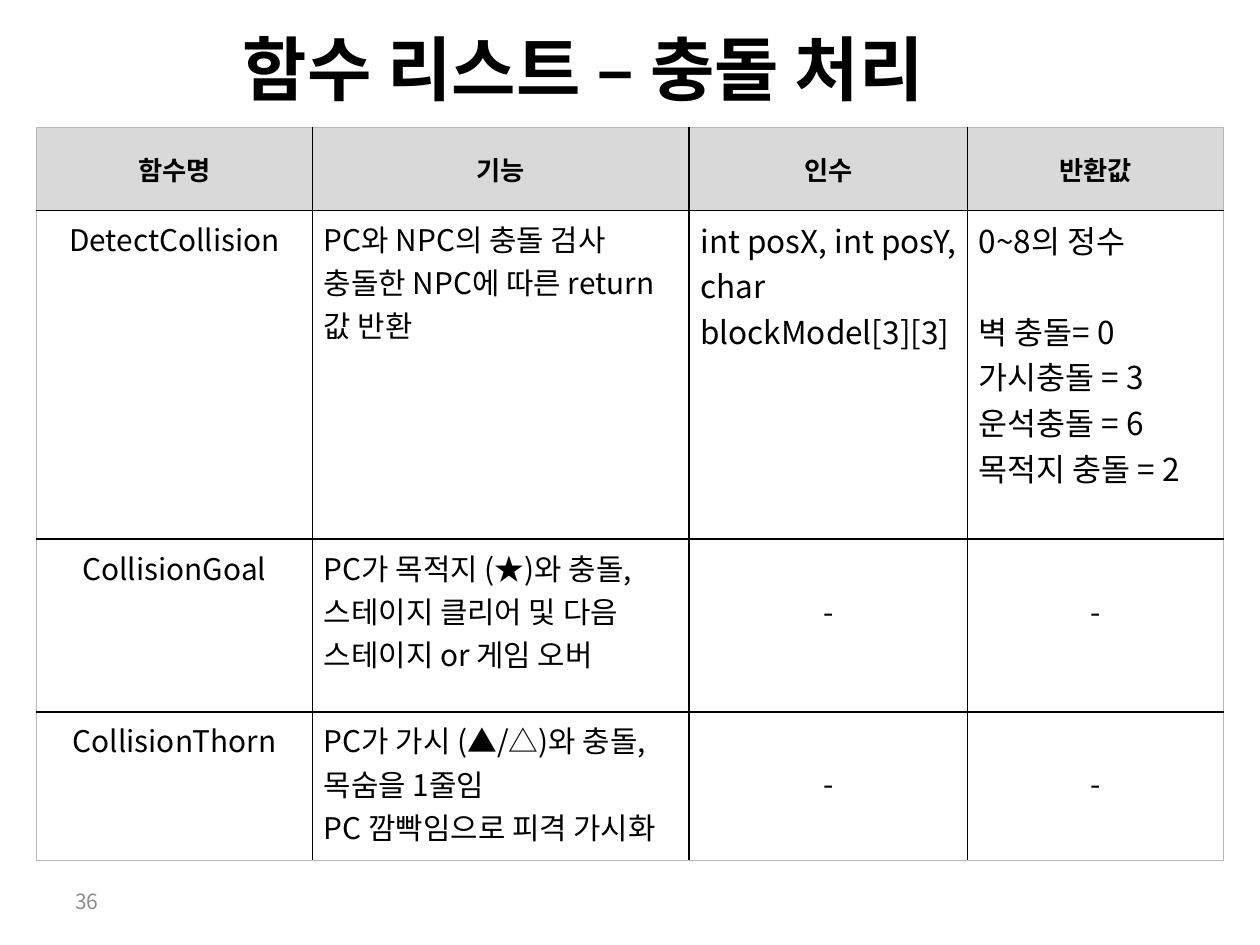
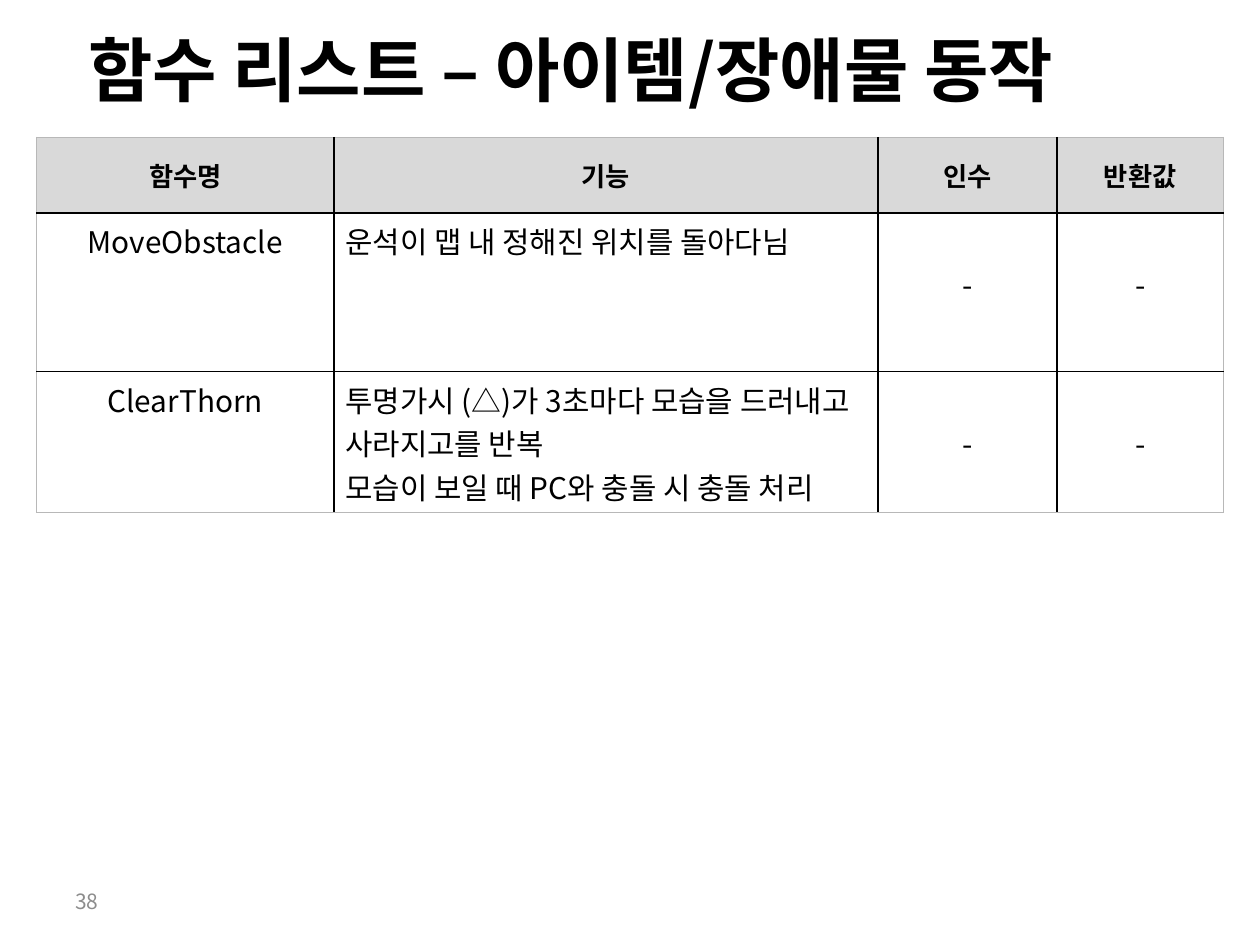
from lxml import etree
from pptx import Presentation
from pptx.dml.color import RGBColor
from pptx.enum.text import MSO_ANCHOR as Anchor, PP_ALIGN as Align
from pptx.oxml.ns import qn
from pptx.util import Inches, Pt

BLACK = RGBColor(0x00, 0x00, 0x00)
HEADER_GRAY = RGBColor(0xD9, 0xD9, 0xD9)
EDGE_GRAY = RGBColor(0xB8, 0xB8, 0xB8)
NUMBER_GRAY = RGBColor(0x8C, 0x8C, 0x8C)

FONT = "Noto Sans CJK KR"
GRID_COLUMNS, GRID_ROWS = 100, 75
TABLE_LEFT = 2.9
SIDE_INSET, LINE_INSET = 0.9, 0.5
DASH_DROP = 3.4
HEADINGS = ["함수명", "기능", "인수", "반환값"]
NONE = "-"

COLLISION_FUNCTIONS = [
    ["DetectCollision",
     "PC와 NPC의 충돌 검사\n충돌한 NPC에 따른 return값 반환",
     "int posX, int posY, char blockModel[3][3]",
     "0~8의 정수\n벽 충돌= 0\n가시충돌 = 3\n운석충돌 = 6\n목적지 충돌 = 2"],
    ["CollisionGoal",
     "PC가 목적지 (★)와 충돌,\n스테이지 클리어 및 다음 스테이지 or 게임 오버",
     NONE, NONE],
    ["CollisionThorn",
     "PC가 가시 (▲/△)와 충돌,\n목숨을 1줄임\nPC 깜빡임으로 피격 가시화",
     NONE, NONE],
]
MOTION_FUNCTIONS = [
    ["MoveObstacle", "운석이 맵 내 정해진 위치를 돌아다님", NONE, NONE],
    ["ClearThorn",
     "투명가시 (△)가 3초마다 모습을 드러내고 사라지고를 반복\n"
     "모습이 보일 때 PC와 충돌 시 충돌 처리",
     NONE, NONE],
]


class FunctionDeck:
    def __init__(self):
        self.deck = Presentation()
        self.deck.slide_width, self.deck.slide_height = Inches(10), Inches(7.5)
        self.slide = None

    def across(self, columns):
        return round(self.deck.slide_width * columns / GRID_COLUMNS)

    def down(self, rows):
        return round(self.deck.slide_height * rows / GRID_ROWS)

    def new_slide(self):
        self.slide = self.deck.slides.add_slide(self.deck.slide_layouts[6])

    def style(self, frame, size, color=BLACK, bold=False, align=Align.LEFT):
        for paragraph in frame.paragraphs:
            paragraph.alignment = align
            for run in paragraph.runs:
                font = run.font
                font.size, font.bold, font.name = Pt(size), bold, FONT
                font.color.rgb = color
                east_asian = etree.SubElement(font._element, qn("a:ea"))
                east_asian.set("typeface", FONT)

    def text(self, words, left, top, width, height, size, **look):
        frame = self.slide.shapes.add_textbox(
            self.across(left), self.down(top),
            self.across(width), self.down(height)).text_frame
        frame.word_wrap = True
        frame.text = words
        self.style(frame, size, **look)
        return frame

    def title(self, words, left, top, width):
        self.text(words, left, top, width, 7.7, 40, bold=True)

    def page_number(self, number):
        frame = self.text(str(number), 5, 69.5, 23.3, 4, 12, color=NUMBER_GRAY)
        frame.vertical_anchor = Anchor.MIDDLE

    def borders(self, cell, edges):
        properties = cell._tc.get_or_add_tcPr()
        for place, (side, outer) in enumerate(edges.items()):
            line = etree.Element(qn(f"a:ln{side}"), w=str(Pt(0.75 if outer else 1)))
            fill = etree.SubElement(line, qn("a:solidFill"))
            color = EDGE_GRAY if outer else BLACK
            etree.SubElement(fill, qn("a:srgbClr"), val=str(color))
            properties.insert(place, line)

    def header_cell(self, cell):
        cell.fill.solid()
        cell.fill.fore_color.rgb = HEADER_GRAY
        cell.vertical_anchor = Anchor.MIDDLE
        self.style(cell.text_frame, 15, bold=True, align=Align.CENTER)

    def body_cell(self, cell, heading):
        cell.fill.background()
        empty = cell.text == NONE
        signature = heading in HEADINGS[2:] and not empty
        centred = empty or heading == HEADINGS[0]
        self.style(cell.text_frame, 18 if signature else 17,
                   align=Align.CENTER if centred else Align.LEFT)
        if empty:
            cell.margin_top = self.down(LINE_INSET + DASH_DROP)
        elif heading == HEADINGS[3]:
            cell.text_frame.paragraphs[1].space_before = Pt(26)

    def function_table(self, functions, top, widths, heights):
        table = self.slide.shapes.add_table(
            len(heights), len(widths), self.across(TABLE_LEFT), self.down(top),
            self.across(sum(widths)), self.down(sum(heights))).table
        table.first_row = table.horz_banding = False
        for column, width in zip(table.columns, widths):
            column.width = self.across(width)
        for row, height in zip(table.rows, heights):
            row.height = self.down(height)
        last_row, last_column = len(heights) - 1, len(widths) - 1
        for r, entries in enumerate([HEADINGS] + functions):
            for c, words in enumerate(entries):
                cell = table.cell(r, c)
                cell.margin_left = cell.margin_right = self.across(SIDE_INSET)
                cell.margin_top = cell.margin_bottom = self.down(LINE_INSET)
                cell.text_frame.text = words
                if r == 0:
                    self.header_cell(cell)
                else:
                    self.body_cell(cell, HEADINGS[c])
                self.borders(cell, {"L": c == 0, "R": c == last_column,
                                    "T": r == 0, "B": r == last_row})

    def save(self):
        self.deck.save("out.pptx")


def main():
    deck = FunctionDeck()

    deck.new_slide()
    deck.page_number(36)
    deck.function_table(COLLISION_FUNCTIONS, 10.1,
                        [21.9, 29.9, 22.1, 20.3], [6.6, 26.1, 13.7, 11.8])
    deck.title("함수 리스트 – 충돌 처리", 18.3, 1.5, 63.4)

    deck.new_slide()
    deck.page_number(38)
    deck.function_table(MOTION_FUNCTIONS, 10.9,
                        [23.6, 43.2, 14.2, 13.2], [6, 12.6, 11.2])
    deck.title("함수 리스트 – 아이템/장애물 동작", 6, 1.6, 88.1)

    deck.save()


if __name__ == "__main__":
    main()
